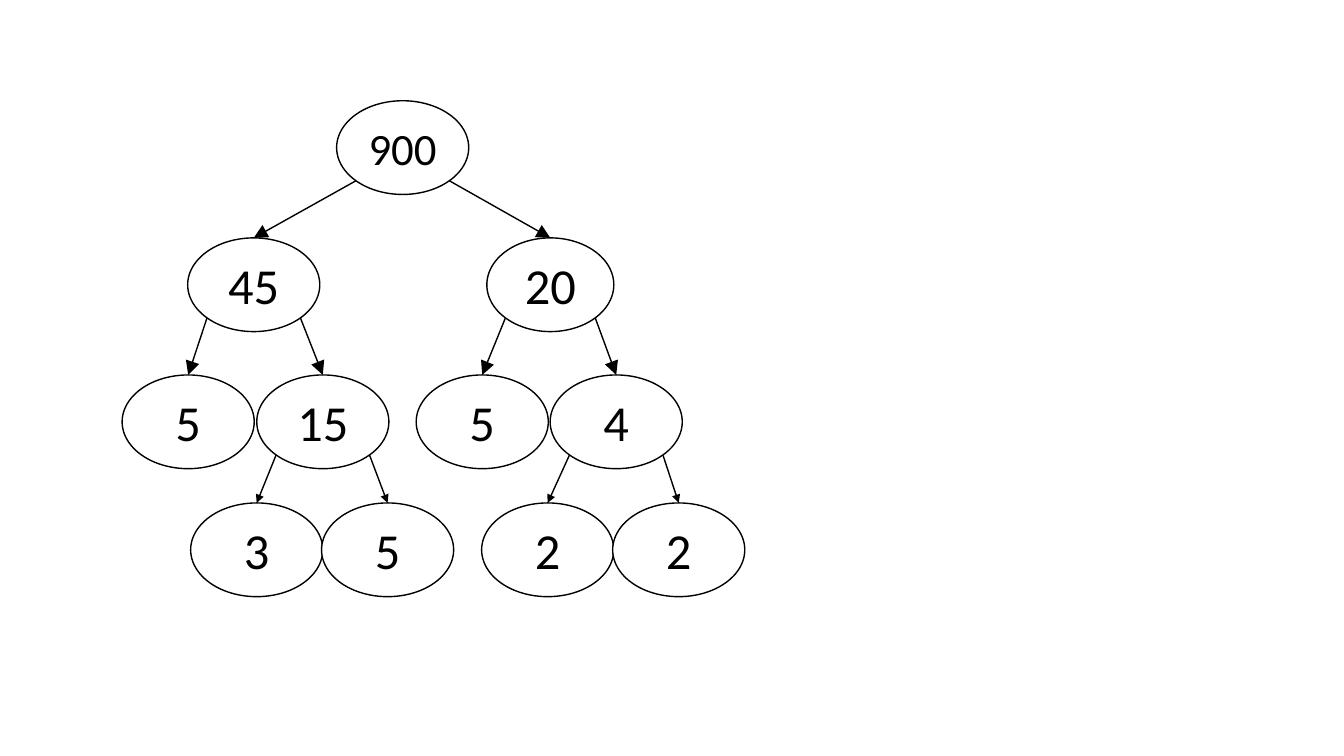
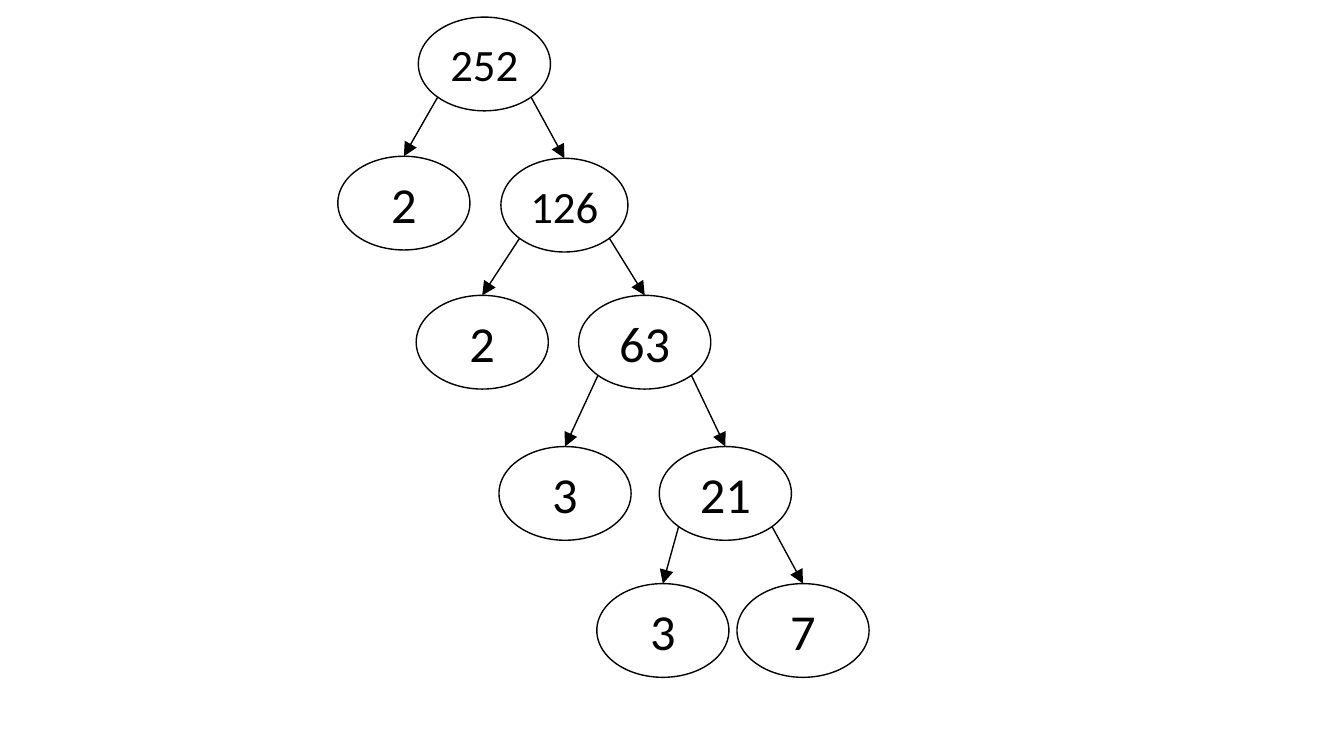
"""Draw two factor trees, one on each slide."""
import math
from dataclasses import dataclass
from typing import NamedTuple

from pptx import Presentation
from pptx import util as u
from pptx.dml import color
from pptx.enum import shapes, text
from pptx.oxml import ns, xmlchemy

WIDE, HIGH = u.Inches(13.333), u.Inches(7.5)
COL, ROW = WIDE / 100, HIGH / 100
NODE_W, SLIM_W, NODE_H = 9.83, 9.45, 12.4
DIAG = math.sqrt(0.5)
INK, PAPER, FONT = "000000", "FFFFFF", "Calibri"


class Level(NamedTuple):
    top: float
    head: str = "lg"


@dataclass(frozen=True)
class Node:
    label: str
    mid: float
    kids: tuple["Node", ...] = ()
    width: float = NODE_W
    drop: float = 0


@dataclass(frozen=True)
class Tree:
    levels: tuple[Level, ...]
    root: Node


TREES = (
    Tree(
        (Level(13.33), Level(31.47), Level(49.6), Level(66.53, "med")),
        Node("900", 29.96, (
            Node("45", 18.88, (
                Node("5", 14),
                Node("15", 24.02, (Node("3", 19.1), Node("5", 28.84))),
            )),
            Node("20", 40.95, (
                Node("5", 35.88),
                Node("4", 45.85, (Node("2", 40.75), Node("2", 50.5))),
            ), SLIM_W),
        )),
    ),
    Tree(
        (Level(2.27), Level(20.67), Level(39.07), Level(59.07), Level(77.2)),
        Node("252", 36.04, (
            Node("2", 30.05),
            Node("126", 42, (
                Node("2", 35.88),
                Node("63", 47.97, (
                    Node("3", 42.04),
                    Node("21", 53.97, (Node("3", 49.32), Node("7", 59.75))),
                )),
            ), SLIM_W, 0.27),
        )),
    ),
)


def rgb(code: str) -> color.RGBColor:
    return color.RGBColor.from_string(code)


def ink(line) -> None:
    line.color.rgb = rgb(INK)
    line.width = u.Pt(1)


def draw_oval(slide, node: Node, top: float):
    oval = slide.shapes.add_shape(
        shapes.MSO_SHAPE.OVAL,
        round((node.mid - node.width / 2) * COL), round(top * ROW),
        round(node.width * COL), round(NODE_H * ROW))
    oval.shadow.inherit = False
    oval.fill.solid()
    oval.fill.fore_color.rgb = rgb(PAPER)
    ink(oval.line)
    frame = oval.text_frame
    frame.vertical_anchor = text.MSO_ANCHOR.MIDDLE
    para = frame.paragraphs[0]
    para.alignment = text.PP_ALIGN.CENTER
    run = para.add_run()
    run.text = node.label
    run.font.name = FONT
    run.font.size = u.Pt(32 if len(node.label) > 2 else 36)
    run.font.color.rgb = rgb(INK)
    return oval


def draw_arrow(slide, start, end, side: int, head: str) -> None:
    x = start.left + start.width / 2 * (1 + side * DIAG)
    y = start.top + start.height / 2 * (1 + DIAG)
    arrow = slide.shapes.add_connector(
        shapes.MSO_CONNECTOR.STRAIGHT, round(x), round(y),
        end.left + end.width // 2, end.top)
    arrow.end_connect(end, 0)
    ink(arrow.line)
    tip = xmlchemy.OxmlElement("a:tailEnd")
    for key, value in (("type", "triangle"), ("w", head), ("len", head)):
        tip.set(key, value)
    props = arrow._element.spPr
    props.find(ns.qn("a:ln")).append(tip)
    props.append(xmlchemy.OxmlElement("a:effectLst"))


def draw_node(slide, node: Node, levels: tuple[Level, ...]):
    oval = draw_oval(slide, node, levels[0].top + node.drop)
    for side, kid in zip((-1, 1), node.kids):
        child = draw_node(slide, kid, levels[1:])
        draw_arrow(slide, oval, child, side, levels[1].head)
    return oval


def main() -> None:
    deck = Presentation()
    deck.slide_width, deck.slide_height = WIDE, HIGH
    for tree in TREES:
        slide = deck.slides.add_slide(deck.slide_layouts[6])
        draw_node(slide, tree.root, tree.levels)
    deck.save("out.pptx")


if __name__ == "__main__":
    main()
